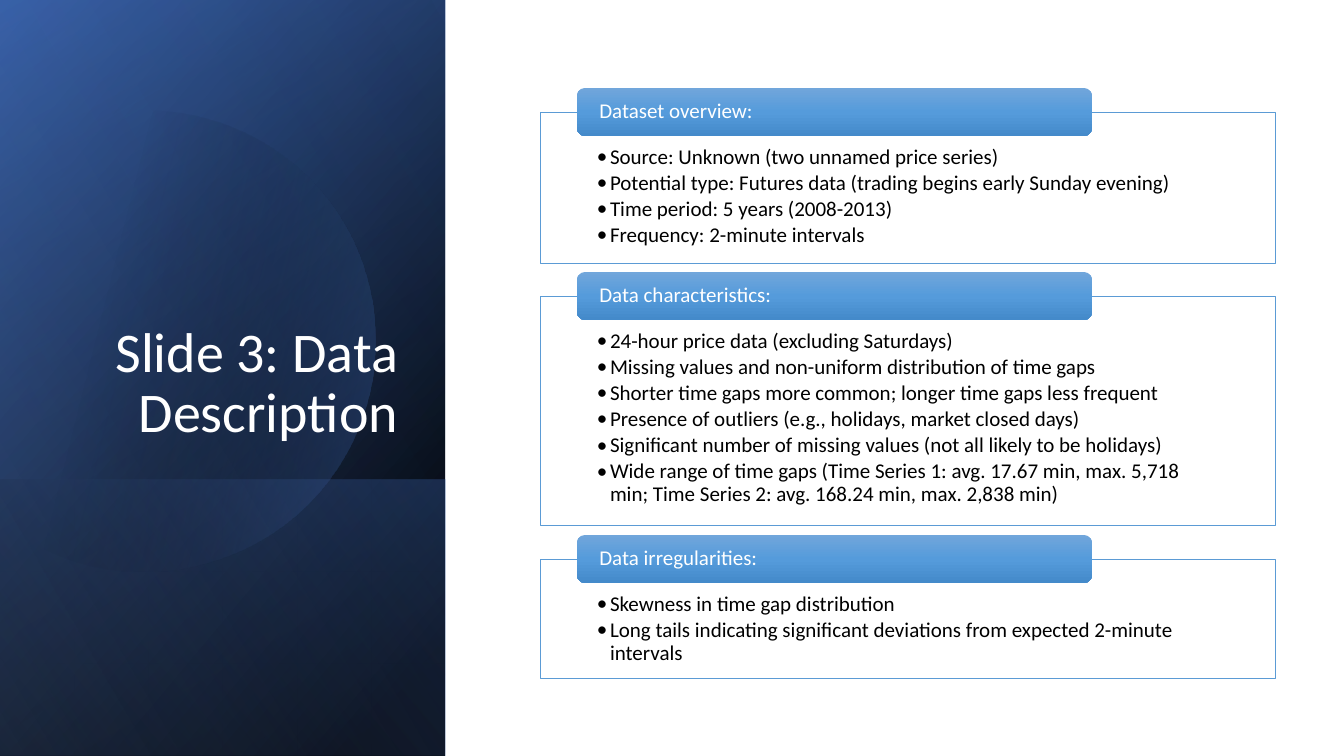
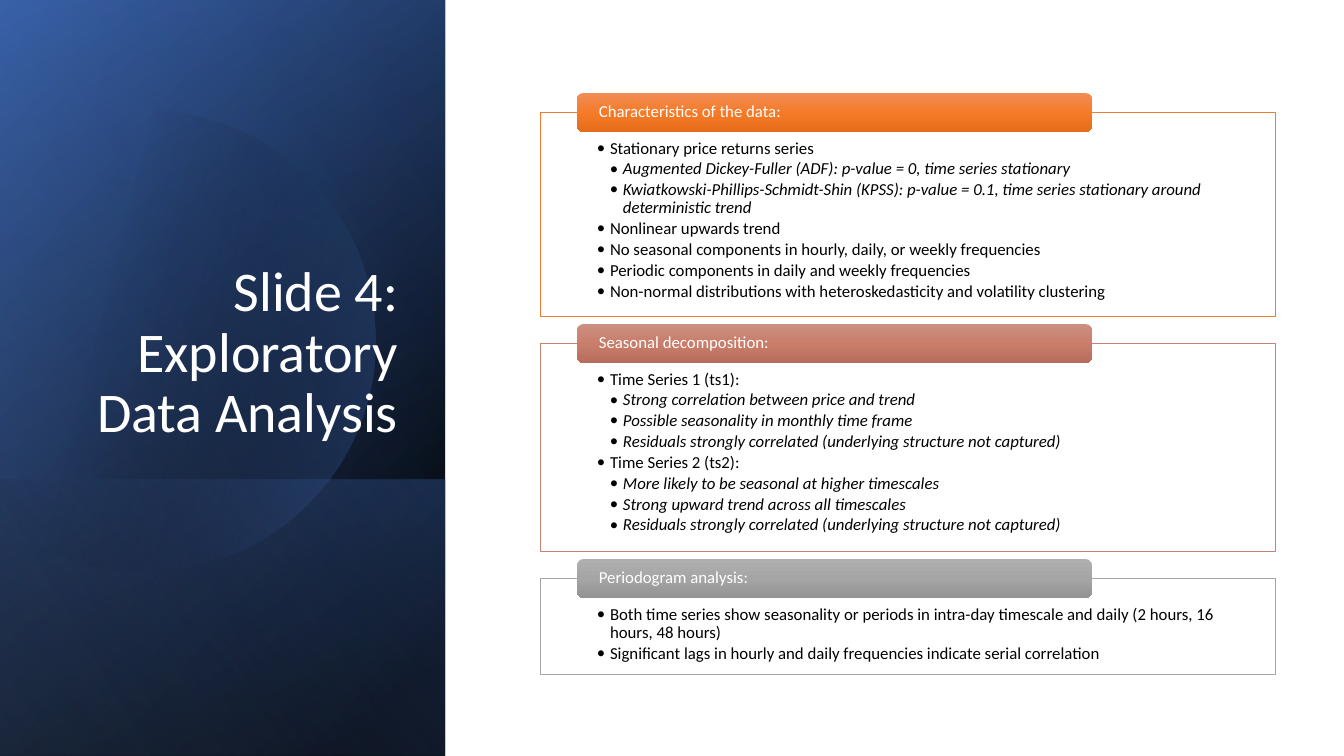
"""Builds two slides that pair a dark title panel with framed bullet lists."""
from pptx import Presentation
from pptx.dml.color import RGBColor
from pptx.enum.shapes import MSO_SHAPE as Shape
from pptx.enum.text import MSO_ANCHOR as Anchor, PP_ALIGN as Align
from pptx.oxml import parse_xml
from pptx.oxml.ns import nsdecls, qn
from pptx.util import Inches, Pt

SCALE = Inches(1) / 100.8
FONT = "Calibri"
COLORS = {
    "white": "FFFFFF", "black": "000000", "navy": "2F5597",
    "royal": "4472C4", "pale": "8FAADC", "blue": "5B9BD5",
    "orange": "ED7D31", "clay": "C48170", "gray": "A5A5A5",
}
HEADS = {
    "blue": ("71A6DB", "559BDB", "448ACA"),
    "orange": ("F18C57", "F67B28", "E56C19"),
    "clay": ("CB8F81", "C97E6B", "B76D5B"),
    "gray": ("AFAFAF", "A5A5A5", "939393"),
}
PANEL_WIDTH, PAGE_HEIGHT, BAND_TOP = 445, 756, 480
FULL_PANEL = (0, 0, PANEL_WIDTH, PAGE_HEIGHT)
DISC_START = (0, 162)
DISC_CURVES = [
    (23, 143), (50, 129), (81, 120),
    (104, 114), (127, 111), (150, 111),
    (248, 113), (338, 178), (366, 277),
    (401, 400), (331, 527), (209, 562),
    (132, 585), (53, 566), (0, 520),
]
FRAME_LEFT, FRAME_WIDTH = 540, 735
HEAD_LEFT, HEAD_WIDTH = 577, 515
SIDE_INSET, HEAD_INSET, INDENT = 57, 20, 13


def px(length):
    return round(length * SCALE)


def color(name):
    return RGBColor.from_string(COLORS[name])


class Deck:
    def __init__(self):
        self.deck = Presentation()
        self.deck.slide_width = Inches(13.333)
        self.deck.slide_height = Inches(7.5)
        self.page = None

    def add_page(self, title):
        self.page = self.deck.slides.add_slide(self.deck.slide_layouts[6])
        self.panel()
        self.title(title)

    def shape(self, kind, *bounds):
        box = self.page.shapes.add_shape(kind, *map(px, bounds))
        box.shadow.inherit = False
        box.line.fill.background()
        return box

    def gradient(self, box, angle, *stops):
        box.fill.gradient()
        marks = "".join(
            f'<a:gs pos="{place * 1000}"><a:srgbClr val="{tone}">'
            f'<a:alpha val="{opacity * 1000}"/></a:srgbClr></a:gs>'
            for place, tone, opacity in stops)
        new = parse_xml(
            f'<a:gradFill {nsdecls("a")} rotWithShape="1"><a:gsLst>{marks}</a:gsLst>'
            f'<a:lin ang="{angle * 60000}" scaled="0"/></a:gradFill>')
        properties = box._element.spPr
        properties.replace(properties.find(qn("a:gradFill")), new)

    def shade(self, bounds, angle, *stops):
        self.gradient(self.shape(Shape.RECTANGLE, *bounds), angle, *stops)

    def curved(self, start, points, angle, *stops):
        outline = self.page.shapes.build_freeform(*map(px, start))
        outline.add_line_segments([tuple(map(px, point)) for point in points])
        box = outline.convert_to_shape()
        box.shadow.inherit = False
        box.line.fill.background()
        lines = list(box._element.iter(qn("a:lnTo")))
        for first in range(0, len(lines), 3):
            curve = parse_xml(f'<a:cubicBezTo {nsdecls("a")}/>')
            lines[first].addprevious(curve)
            for line in lines[first:first + 3]:
                curve.append(line[0])
                line.getparent().remove(line)
        curve.addnext(parse_xml(f'<a:close {nsdecls("a")}/>'))
        self.gradient(box, angle, *stops)

    def panel(self):
        black, royal = COLORS["black"], COLORS["royal"]
        self.shade(FULL_PANEL, 220, (8, black, 100), (100, COLORS["navy"], 100))
        self.shade(FULL_PANEL, 240, (0, black, 0), (99, royal, 46))
        self.shade((0, BAND_TOP, PANEL_WIDTH, PAGE_HEIGHT - BAND_TOP), 140,
                   (2, royal, 29), (100, black, 30))
        self.curved(DISC_START, DISC_CURVES, 14, (29, black, 0), (100, royal, 43))
        self.shade(FULL_PANEL, 150, (0, black, 0), (99, COLORS["pale"], 11))

    def style(self, para, text, size, tone, align=Align.LEFT):
        para.text = text
        para.alignment = align
        para.line_spacing = 0.9
        para.font.name = FONT
        para.font.size = Pt(size)
        para.font.color.rgb = color(tone)

    def title(self, text):
        box = self.page.shapes.add_textbox(*map(px, (64, 186, 344, 264)))
        frame = box.text_frame
        frame.word_wrap = True
        frame.vertical_anchor = Anchor.BOTTOM
        self.style(frame.paragraphs[0], text, 40, "white", Align.RIGHT)

    def bullets(self, box, items, size):
        frame = box.text_frame
        frame.word_wrap = True
        frame.vertical_anchor = Anchor.TOP
        frame.margin_left = frame.margin_right = px(SIDE_INSET)
        frame.margin_top = px(size * 2.3)
        frame.margin_bottom = px(size * 0.8)
        for number, (level, text) in enumerate(items):
            para = frame.add_paragraph() if number else frame.paragraphs[0]
            self.style(para, text, size, "black")
            para.space_after = Pt(size * 0.16)
            para.font.italic = level == 2
            properties = para._p.get_or_add_pPr()
            properties.set("marL", str(px(INDENT * level)))
            properties.set("indent", str(-px(INDENT)))
            defaults = properties.find(qn("a:defRPr"))
            for mark in (f'buFont {nsdecls("a")} typeface="{FONT}"',
                         f'buChar {nsdecls("a")} char="•"'):
                defaults.addprevious(parse_xml(f"<a:{mark}/>"))

    def section(self, size, top, height, tone, heading, items):
        box = self.shape(Shape.RECTANGLE, FRAME_LEFT, top, FRAME_WIDTH, height)
        box.fill.solid()
        box.fill.fore_color.rgb = color("white")
        box.line.color.rgb = color(tone)
        box.line.width = Pt(0.5)
        self.bullets(box, items, size)

        head_height = round(size * 3.23)
        head = self.shape(Shape.ROUNDED_RECTANGLE, HEAD_LEFT,
                          top - head_height // 2, HEAD_WIDTH, head_height)
        stops = zip((0, 50, 100), HEADS[tone], (100, 100, 100))
        self.gradient(head, 90, *stops)
        frame = head.text_frame
        frame.word_wrap = True
        frame.vertical_anchor = Anchor.MIDDLE
        frame.margin_left = frame.margin_right = px(HEAD_INSET)
        frame.margin_top = frame.margin_bottom = 0
        self.style(frame.paragraphs[0], heading, size, "white")

    def sections(self, size, groups):
        for group in groups:
            self.section(size, *group)


DESCRIPTION = [
    (112, 151, "blue", "Dataset overview:", [
        (1, "Source: Unknown (two unnamed price series)"),
        (1, "Potential type: Futures data (trading begins early Sunday evening)"),
        (1, "Time period: 5 years (2008-2013)"),
        (1, "Frequency: 2-minute intervals"),
    ]),
    (296, 229, "blue", "Data characteristics:", [
        (1, "24-hour price data (excluding Saturdays)"),
        (1, "Missing values and non-uniform distribution of time gaps"),
        (1, "Shorter time gaps more common; longer time gaps less frequent"),
        (1, "Presence of outliers (e.g., holidays, market closed days)"),
        (1, "Significant number of missing values (not all likely to be holidays)"),
        (1, "Wide range of time gaps (Time Series 1: avg. 17.67 min, max. 5,718 min; "
            "Time Series 2: avg. 168.24 min, max. 2,838 min)"),
    ]),
    (559, 119, "blue", "Data irregularities:", [
        (1, "Skewness in time gap distribution"),
        (1, "Long tails indicating significant deviations from expected "
            "2-minute intervals"),
    ]),
]
RESIDUALS = (2, "Residuals strongly correlated (underlying structure not captured)")
EXPLORATION = [
    (112, 204, "orange", "Characteristics of the data:", [
        (1, "Stationary price returns series"),
        (2, "Augmented Dickey-Fuller (ADF): p-value = 0, time series stationary"),
        (2, "Kwiatkowski-Phillips-Schmidt-Shin (KPSS): p-value = 0.1, "
            "time series stationary around deterministic trend"),
        (1, "Nonlinear upwards trend"),
        (1, "No seasonal components in hourly, daily, or weekly frequencies"),
        (1, "Periodic components in daily and weekly frequencies"),
        (1, "Non-normal distributions with heteroskedasticity and "
            "volatility clustering"),
    ]),
    (343, 208, "clay", "Seasonal decomposition:", [
        (1, "Time Series 1 (ts1):"),
        (2, "Strong correlation between price and trend"),
        (2, "Possible seasonality in monthly time frame"),
        RESIDUALS,
        (1, "Time Series 2 (ts2):"),
        (2, "More likely to be seasonal at higher timescales"),
        (2, "Strong upward trend across all timescales"),
        RESIDUALS,
    ]),
    (578, 96, "gray", "Periodogram analysis:", [
        (1, "Both time series show seasonality or periods in intra-day timescale "
            "and daily (2 hours, 16 hours, 48 hours)"),
        (1, "Significant lags in hourly and daily frequencies indicate "
            "serial correlation"),
    ]),
]

show = Deck()
show.add_page("Slide 3: Data Description")
show.sections(15, DESCRIPTION)
show.add_page("Slide 4: Exploratory Data Analysis")
show.sections(12, EXPLORATION)
show.deck.save("out.pptx")
